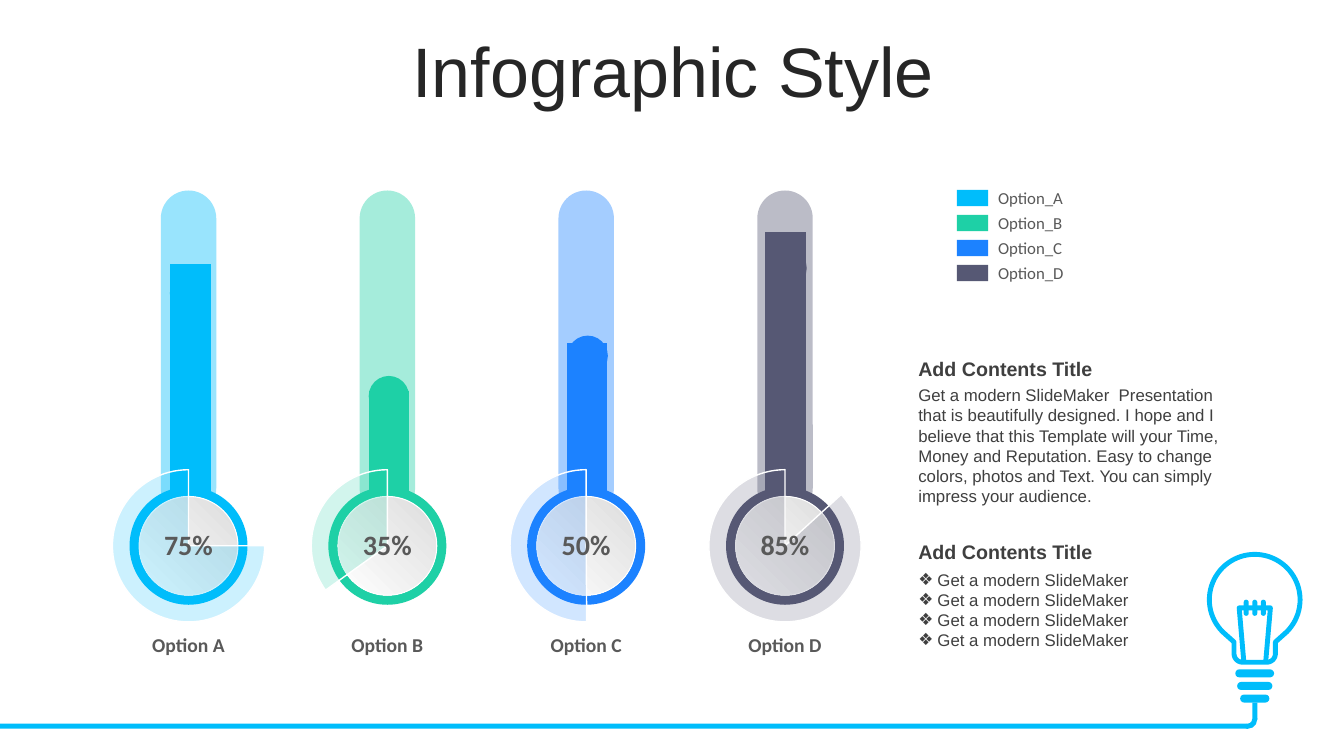
from math import cos, radians, sin

from lxml.etree import SubElement
from pptx import Presentation
from pptx.chart.data import CategoryChartData
from pptx.dml.color import RGBColor
from pptx.enum.chart import XL_CHART_TYPE
from pptx.enum.shapes import MSO_SHAPE
from pptx.enum.text import MSO_ANCHOR, PP_ALIGN
from pptx.oxml import parse_xml
from pptx.oxml.ns import nsdecls, qn
from pptx.util import Inches, Pt

SKY = RGBColor(0x00, 0xBD, 0xFB)
MINT = RGBColor(0x1E, 0xD0, 0xA6)
BLUE = RGBColor(0x1C, 0x82, 0xFF)
SLATE = RGBColor(0x56, 0x58, 0x74)
WHITE = RGBColor(0xFF, 0xFF, 0xFF)
SILVER = RGBColor(0xDD, 0xDD, 0xDD)
TITLE_INK = RGBColor(0x26, 0x26, 0x26)
BODY_INK = RGBColor(0x3F, 0x3F, 0x3F)
LABEL_INK = RGBColor(0x59, 0x59, 0x59)

CELL = Inches(0.1)
FIRST_CENTRE, PITCH, BULB_ROW = 18.7, 19.72, 54.15

# letter, colour, percent, chart value, start angle of the pie, top row of the cap
GAUGES = [
    ("A", SKY, 75, 88, 0, 27.1),
    ("B", MINT, 35, 41, 144.35, 37.3),
    ("C", BLUE, 50, 59, 89.6, 33.3),
    ("D", SLATE, 85, 100, 317.65, 24.6),
]


def cells(*lengths):
    return [round(length * CELL) for length in lengths]


def arc(x, y, radius, start, end, steps=24):
    """Points on a circle, with angles in degrees clockwise from the right."""
    angles = [radians(start + (end - start) * i / steps) for i in range(steps + 1)]
    return [(x + radius * cos(a), y + radius * sin(a)) for a in angles]


class SlidePainter:
    """Draws on one slide, measuring in grid cells of a tenth of an inch."""

    def __init__(self, slide):
        self.slide = slide

    def shape(self, kind, x, y, w, h, color, alpha=None, line=None, adjust=()):
        shape = self.slide.shapes.add_shape(kind, *cells(x, y, w, h))
        shape.shadow.inherit = False
        for i, value in enumerate(adjust):
            shape.adjustments[i] = value
        shape.fill.solid()
        shape.fill.fore_color.rgb = color
        if alpha:
            tint = shape.fill._xPr.find(".//" + qn("a:srgbClr"))
            SubElement(tint, qn("a:alpha")).set("val", str(alpha * 1000))
        self.outline(shape, line)
        return shape

    def outline(self, shape, width):
        if width:
            shape.line.color.rgb = WHITE
            shape.line.width = Pt(width)
        else:
            shape.line.fill.background()

    def disc(self, x, y, size, color, **style):
        return self.shape(MSO_SHAPE.OVAL, x - size / 2, y - size / 2, size, size,
                          color, **style)

    def gradient_disc(self, x, y, size):
        disc = self.disc(x, y, size, SILVER, line=0.75)
        disc.fill.gradient()
        disc.fill.gradient_angle = 225
        for stop, color in zip(disc.fill.gradient_stops, (SILVER, WHITE)):
            stop.color.rgb = color

    def stroke(self, points, color, width, fill=None):
        """Draws a stroked outline; it is closed when it has a fill."""
        points = [cells(*point) for point in points]
        builder = self.slide.shapes.build_freeform(*points[0])
        builder.add_line_segments(points[1:], close=fill is not None)
        outline = builder.convert_to_shape()
        outline.shadow.inherit = False
        if fill is None:
            outline.fill.background()
        else:
            outline.fill.solid()
            outline.fill.fore_color.rgb = fill
        outline.line.color.rgb = color
        outline.line.width = Pt(width)

    def text(self, x, y, w, h, lines, size, color, font="Arial", bold=False,
             align=PP_ALIGN.LEFT, anchor=MSO_ANCHOR.TOP, spacing=None, bullet=None):
        frame = self.slide.shapes.add_textbox(*cells(x, y, w, h)).text_frame
        frame.word_wrap = True
        frame.vertical_anchor = anchor
        frame.text = "\n".join(lines)
        for paragraph in frame.paragraphs:
            paragraph.alignment = align
            if spacing:
                paragraph.line_spacing = spacing
            if bullet:
                self.bullet(paragraph, bullet)
            paragraph.font.name = font
            paragraph.font.size = Pt(size)
            paragraph.font.bold = bold
            paragraph.font.color.rgb = color

    def bullet(self, paragraph, mark):
        properties = paragraph._p.get_or_add_pPr()
        properties.set("marL", str(Inches(0.19)))
        properties.set("indent", str(-Inches(0.19)))
        SubElement(properties, qn("a:buFont")).set("typeface", "Arial")
        SubElement(properties, qn("a:buChar")).set("char", mark)

    def columns(self, x, y, w, h, values, colors):
        data = CategoryChartData()
        data.categories = [str(i + 1) for i in range(len(values))]
        data.add_series("Series 1", values)
        chart = self.slide.shapes.add_chart(
            XL_CHART_TYPE.COLUMN_STACKED, *cells(x, y, w, h), data).chart
        chart.has_legend = chart.has_title = False
        chart.font.name, chart.font.size = "Arial", Pt(18)
        chart.value_axis.minimum_scale, chart.value_axis.maximum_scale = 0, 100
        chart.value_axis.has_major_gridlines = False
        chart.value_axis.visible = chart.category_axis.visible = False
        plot = chart.plots[0]
        plot.gap_width, plot.overlap, plot.vary_by_categories = 392, 100, False
        for i, color in enumerate(colors):
            fill = plot.series[0].points[i].format.fill
            fill.solid()
            fill.fore_color.rgb = color
        self.place_plot(chart, x=0.02, y=0.075, w=0.96, h=0.905)

    def place_plot(self, chart, **shares):
        area = chart._chartSpace.chart.plotArea
        for layout in area.findall(qn("c:layout")):
            area.remove(layout)
        places = "".join(f'<c:{side} val="{share}"/>' for side, share in shares.items())
        area.insert(0, parse_xml(
            f'<c:layout {nsdecls("c")}><c:manualLayout><c:layoutTarget val="inner"/>'
            f'<c:xMode val="edge"/><c:yMode val="edge"/>{places}'
            '</c:manualLayout></c:layout>'))

    def gauge_bulb(self, x, letter, color, percent, start):
        self.disc(x, BULB_ROW, 11.7, color)
        self.gradient_disc(x, BULB_ROW, 9.8)
        pie = self.shape(MSO_SHAPE.PIE, x - 7.55, BULB_ROW - 7.55, 15.1, 15.1,
                         color, alpha=20, line=1)
        for i, angle in enumerate((start, 270)):
            pie.adjustments[i] = angle * 0.6
        label = dict(color=LABEL_INK, font="Calibri", bold=True, align=PP_ALIGN.CENTER)
        self.text(x - 5.85, 51.8, 11.7, 4.4, [f"{percent}%"], 20, **label)
        self.text(x - 6.7, 62.3, 13.4, 3.4, [f"Option {letter}"], 14, **label)

    def light_bulb(self):
        middle = 124.45
        glass = (arc(middle, 59.5, 4.5, 135, 405, 60)
                 + [(middle + 2.05, 63.7)] + arc(middle + 1.2, 64.85, 0.85, 0, 90)
                 + arc(middle - 1.2, 64.85, 0.85, 90, 180) + [(middle - 2.05, 63.7)])
        self.stroke(glass, SKY, 3.5, fill=WHITE)
        for row, width in enumerate((3.85, 3.5, 2.9)):
            self.shape(MSO_SHAPE.ROUNDED_RECTANGLE, middle - width / 2,
                       66.4 + 1.25 * row, width, 0.8, SKY, adjust=[0.5])
        filament = [(middle + dx, y) for dx, y in
                    ((-1.1, 65.5), (-1.55, 60.3), (1.55, 60.3), (1.1, 65.5))]
        self.stroke(filament, SKY, 3.5)
        for step in (-1, 0, 1):
            self.shape(MSO_SHAPE.ROUNDED_RECTANGLE, middle - 0.25 + 0.85 * step, 59.5,
                       0.5, 1.6, SKY, adjust=[0.5])
        self.shape(MSO_SHAPE.RECTANGLE, 0, 71.8, 123.7, 0.5, SKY)
        self.shape(MSO_SHAPE.RECTANGLE, 124.2, 69.7, 0.5, 1.7, SKY)
        self.shape(MSO_SHAPE.BLOCK_ARC, 122.8, 70.4, 1.9, 1.9, SKY,
                   adjust=[213.39, 60.92, 0.27])


def main():
    deck = Presentation()
    deck.slide_width, deck.slide_height = Inches(13.33), Inches(7.5)
    painter = SlidePainter(deck.slides.add_slide(deck.slide_layouts[6]))
    centres = [FIRST_CENTRE + PITCH * i for i in range(len(GAUGES))]

    painter.light_bulb()
    painter.text(3.5, 3.7, 126.6, 7.9, ["Infographic Style"], 50, TITLE_INK,
                 align=PP_ALIGN.CENTER, anchor=MSO_ANCHOR.MIDDLE, spacing=0.8)
    for x, gauge in zip(centres, GAUGES):
        painter.shape(MSO_SHAPE.ROUNDED_RECTANGLE, x - 2.75, 18.9, 5.5, 32.3,
                      gauge[1], alpha=40, adjust=[0.5])
    painter.columns(7.4, 20.8, 82, 29.6, [gauge[3] for gauge in GAUGES],
                    [gauge[1] for gauge in GAUGES])
    for row, (x, gauge) in enumerate(zip(centres, GAUGES)):
        letter, color, percent, _, start, cap_top = gauge
        painter.gauge_bulb(x, letter, color, percent, start)
        painter.shape(MSO_SHAPE.RECTANGLE, 94.9, 18.85 + 2.48 * row, 3.1, 1.6, color)
        painter.text(98, 18.1 + 2.48 * row, 11.1, 3, [f"Option_{letter}"], 12,
                     LABEL_INK, font="Calibri")
        painter.disc(x + 0.15, cap_top + 2, 4, color)

    for top in (34.9, 53.1):
        painter.text(90.1, top, 32.3, 3.4, ["Add Contents Title"], 14, BODY_INK, bold=True)
    painter.text(90.1, 37.7, 32.3, 13.1, [
        "Get a modern SlideMaker  Presentation that is beautifully designed. "
        "I hope and I believe that this Template will your Time, Money and Reputation. "
        "Easy to change colors, photos and Text. You can simply impress your audience."
    ], 12, BODY_INK)
    painter.text(90.1, 56, 32.3, 9.1, ["Get a modern SlideMaker"] * 4, 12, BODY_INK,
                 bullet="❖")
    deck.save("out.pptx")


if __name__ == "__main__":
    main()
